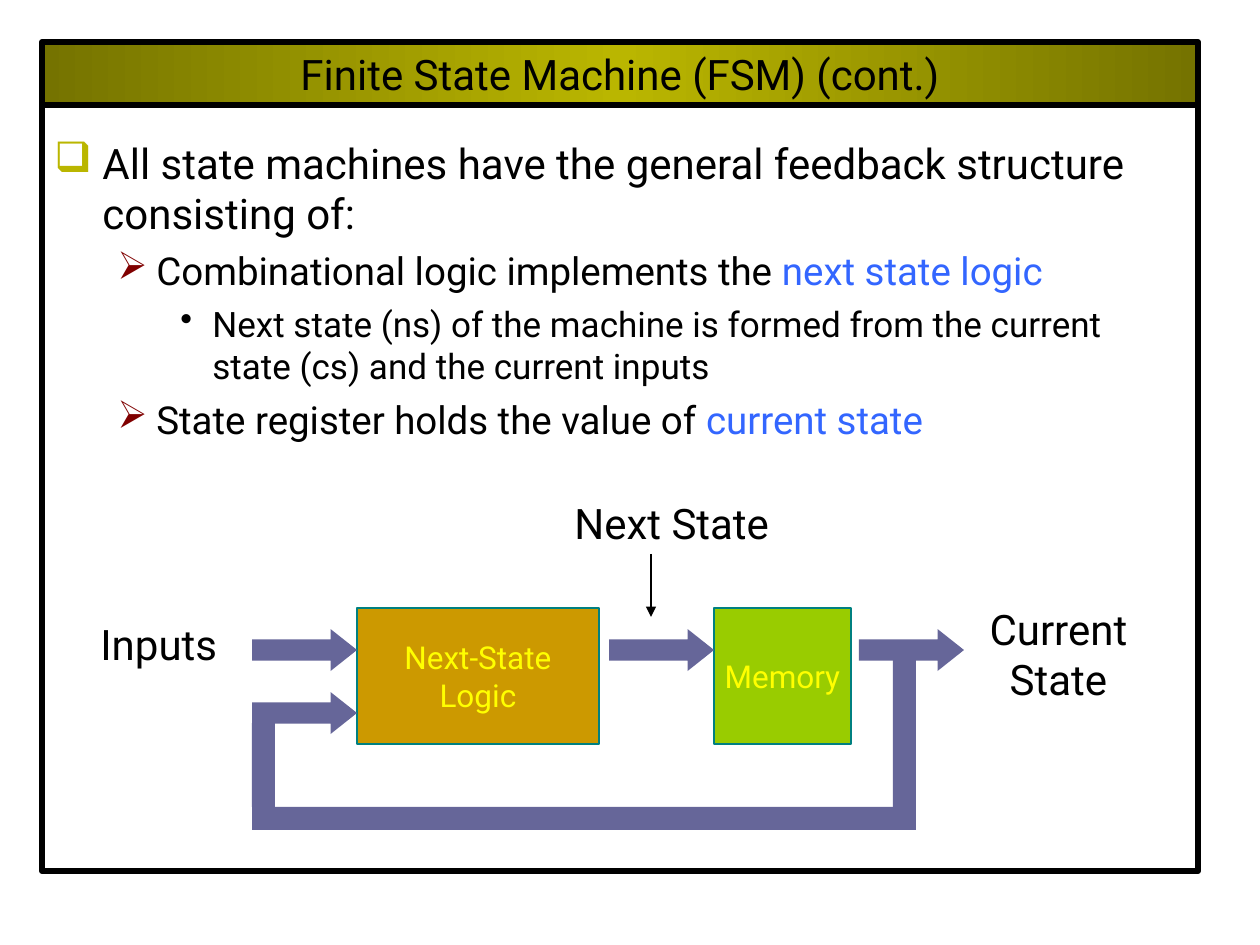
import copy
from lxml import etree
from pptx import Presentation
from pptx import util as u
from pptx.dml.color import RGBColor
from pptx.enum import shapes, text
from pptx.oxml import ns

PX = 914400 / 126
BLACK = RGBColor(0x00, 0x00, 0x00)
OLIVE = RGBColor(0xBA, 0xB6, 0x00)
DARK_OLIVE = RGBColor(0x75, 0x73, 0x00)
MAROON = RGBColor(0x80, 0x00, 0x00)
BLUE = RGBColor(0x33, 0x66, 0xFF)
TEAL = RGBColor(0x00, 0x80, 0x80)
AMBER = RGBColor(0xCC, 0x99, 0x00)
GREEN = RGBColor(0x99, 0xCC, 0x00)
YELLOW = RGBColor(0xFF, 0xFF, 0x00)
SLATE = RGBColor(0x66, 0x66, 0x99)
CENTER, LEFT = text.PP_ALIGN.CENTER, text.PP_ALIGN.LEFT
RECT, ARROW = shapes.MSO_SHAPE.RECTANGLE, shapes.MSO_SHAPE.RIGHT_ARROW

deck = Presentation()
deck.slide_width, deck.slide_height = u.Inches(10), u.Inches(7.5)
page = deck.slides.add_slide(deck.slide_layouts[6])


def add_block(kind, place, fill=None, line=None, width=1):
    block = page.shapes.add_shape(kind, *(u.Emu(round(n * PX)) for n in place))
    block.shadow.inherit = False
    if fill is None:
        block.fill.background()
    else:
        block.fill.solid()
        block.fill.fore_color.rgb = fill
    if line is None:
        block.line.fill.background()
    else:
        block.line.color.rgb = line
        block.line.width = u.Pt(width)
    return block


def write(box, lines, size, color, align, anchor=text.MSO_ANCHOR.MIDDLE):
    frame = box.text_frame
    frame.word_wrap, frame.vertical_anchor = False, anchor
    for index, words in enumerate(lines):
        para = frame.paragraphs[0] if index == 0 else frame.add_paragraph()
        para.alignment = align
        span = para.add_run()
        span.text = words
        look = {"name": "Roboto", "size": u.Pt(size)}
        for key, value in look.items():
            setattr(span.font, key, value)
        span.font.color.rgb = color


# Frame and title bar
add_block(RECT, (42, 105, 1156, 766), line=BLACK, width=3.5)
title = add_block(RECT, (42, 42, 1156, 63), OLIVE, BLACK, 3.5)
title.fill.gradient()
title.fill.gradient_angle = 0
stops = title.fill.gradient_stops
for stop, color, position in zip(stops, (DARK_OLIVE, OLIVE), (0, 0.5)):
    stop.color.rgb, stop.position = color, position
stop_list = title._element.spPr.find(".//" + ns.qn("a:gsLst"))
last_stop = copy.deepcopy(stop_list[0])
last_stop.set("pos", "100000")
stop_list.append(last_stop)
write(title, ["Finite State Machine (FSM) (cont.)"], 24, BLACK, CENTER)

# State machine blocks
logic = add_block(RECT, (357, 608, 242, 136), AMBER, TEAL)
write(logic, ["Next-State", "Logic"], 18, YELLOW, CENTER)
memory = add_block(RECT, (714, 608, 137, 136), GREEN, TEAL)
write(memory, ["Memory"], 18, YELLOW, CENTER)

# Signal arrows
for left, top in ((252, 629), (609, 629), (859, 629), (252, 692)):
    arrow = add_block(ARROW, (left, top, 105, 42), SLATE)
    arrow.adjustments[1] = 0.63

# Feedback path
for place in ((893, 660, 23, 147), (252, 807, 664, 23), (252, 723, 23, 84)):
    add_block(RECT, place, SLATE)

# Labels
for place, lines, align in (
    ((88, 612, 152, 63), ["Inputs"], LEFT),
    ((970, 597, 177, 113), ["Current", "State"], CENTER),
    ((562, 491, 229, 63), ["Next State"], LEFT),
):
    label = page.shapes.add_textbox(*(u.Emu(round(n * PX)) for n in place))
    write(label, lines, 24, BLACK, align, text.MSO_ANCHOR.TOP)

# Next state pointer
pointer = page.shapes.add_connector(
    shapes.MSO_CONNECTOR.STRAIGHT,
    *(u.Emu(round(n * PX)) for n in (651, 554, 651, 617)))
pointer.line.color.rgb = BLACK
pointer.line.width = u.Pt(1)
etree.SubElement(pointer.line._get_or_add_ln(), ns.qn("a:tailEnd"), type="triangle")
etree.SubElement(pointer._element.spPr, ns.qn("a:effectLst"))

# Bulleted text: per level bullet, its colour, indent, hang, size, space before
LEVELS = (
    ("❑", OLIVE, 48, 48, 24, 6),
    ("➢", MAROON, 102, 39, 22, 5.5),
    ("•", BLACK, 158, 32, 20, 5),
)
POINTS = (
    (0, "All state machines have the general feedback structure consisting of:", ""),
    (1, "Combinational logic implements the ", "next state logic"),
    (2, "Next state (ns) of the machine is formed from the current state (cs) "
        "and the current inputs", ""),
    (1, "State register holds the value of ", "current state"),
)
body = page.shapes.add_textbox(*(u.Emu(round(n * PX)) for n in (42, 105, 1156, 347)))
frame = body.text_frame
frame.word_wrap = True
frame.margin_top = u.Emu(round(32 * PX))
for index, (level, plain, accent) in enumerate(POINTS):
    para = frame.paragraphs[0] if index == 0 else frame.add_paragraph()
    bullet, color, indent, hang, size, space = LEVELS[level]
    para.level = level
    props = para._p.get_or_add_pPr()
    props.set("marL", str(round(indent * PX)))
    props.set("indent", str(round(-hang * PX)))
    bullet_color = etree.SubElement(props, ns.qn("a:buClr"))
    etree.SubElement(bullet_color, ns.qn("a:srgbClr"), val=str(color))
    etree.SubElement(props, ns.qn("a:buChar"), char=bullet)
    if index:
        para.space_before = u.Pt(space)
    for words, ink in ((plain, BLACK), (accent, BLUE)):
        if words:
            span = para.add_run()
            span.text = words
            for key, value in {"name": "Roboto", "size": u.Pt(size)}.items():
                setattr(span.font, key, value)
            span.font.color.rgb = ink

deck.save("out.pptx")
